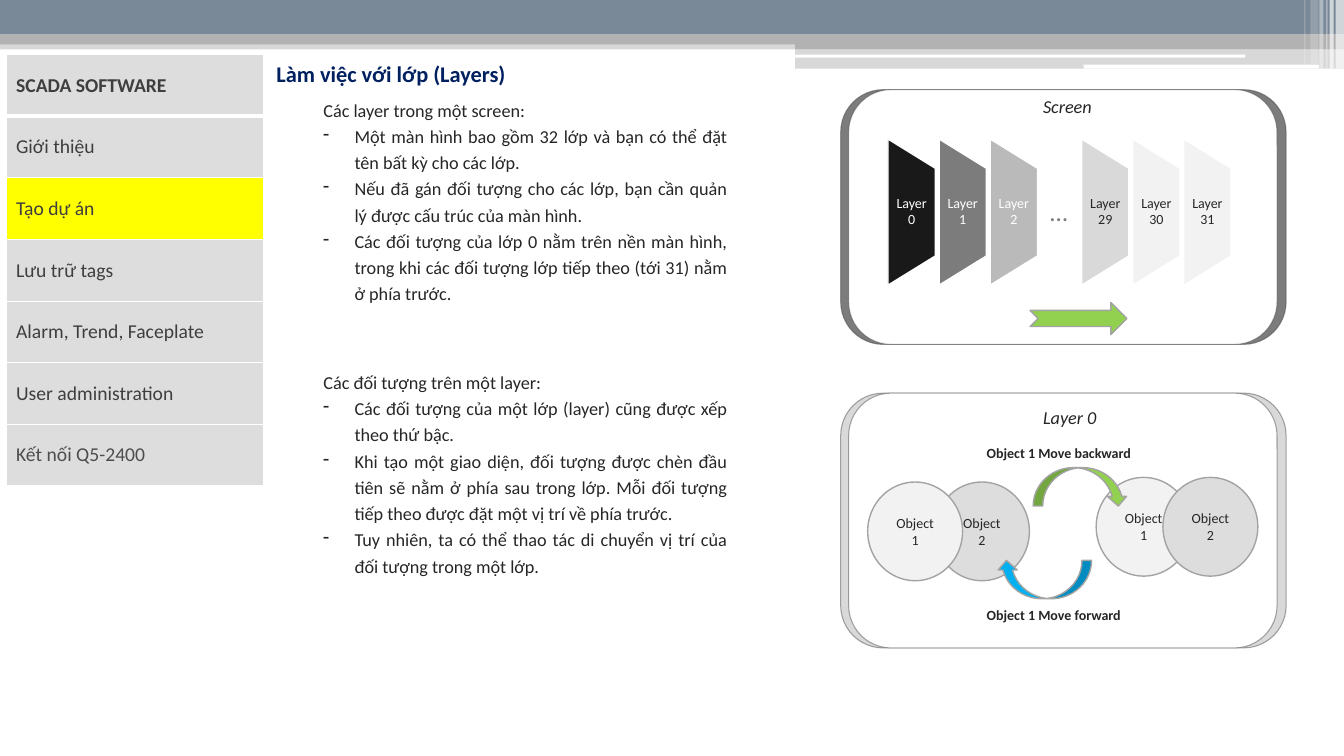
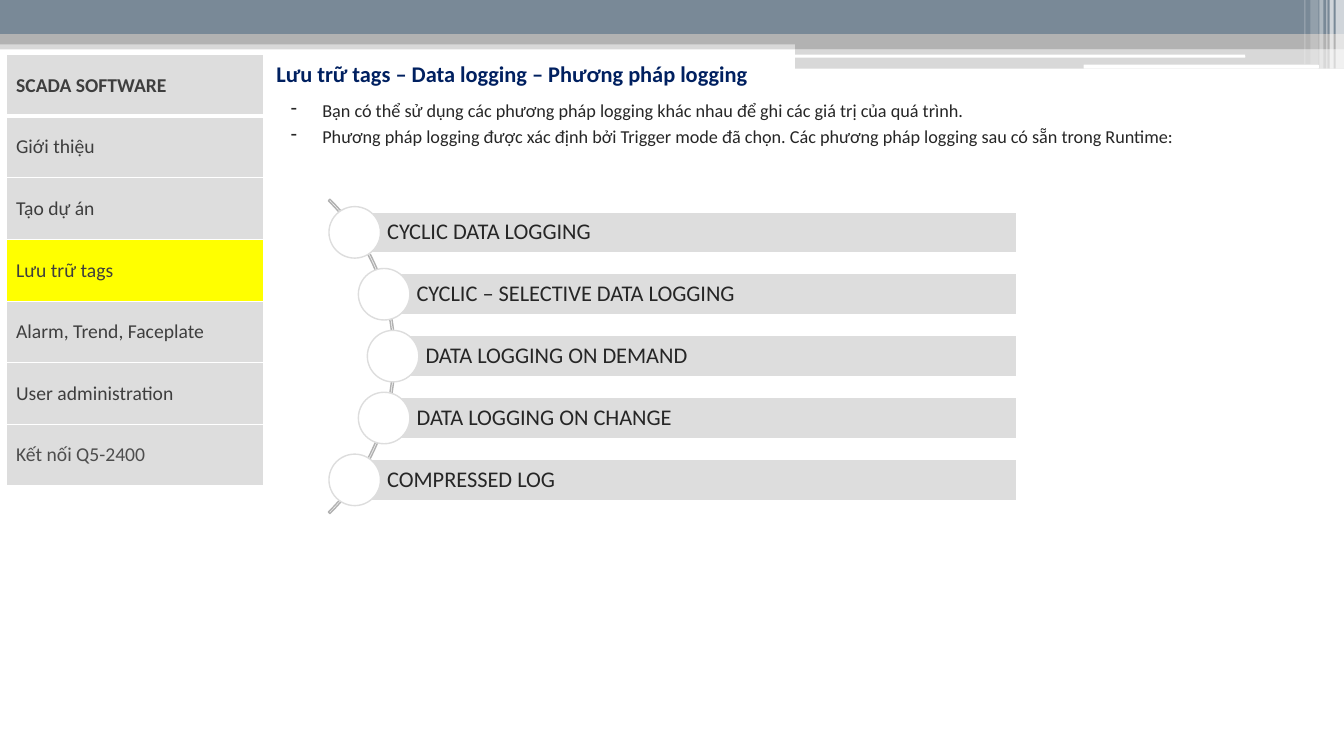
from dataclasses import dataclass
from typing import NamedTuple, Optional

from lxml import etree
from pptx import Presentation
from pptx import util as u
from pptx.dml import color
from pptx.enum import shapes, text
from pptx.oxml import ns

KIND = shapes.MSO_SHAPE
ALIGN = text.PP_ALIGN
MID = text.MSO_ANCHOR.MIDDLE
FONT = "Calibri"
WHITE, INK, NAVY = "FFFFFF", "262626", "002060"
SLATE, SILVER, EDGE = "798997", "B2B2B2", "A3A3A3"
PALE, MIST, GRAY, LIGHT, DARK = "DDDDDD", "F2F2F2", "7C7C7C", "D9D9D9", "4D4D4D"
LIME, SKY, MARK = "92D050", "00B0F0", "FFFF00"

MENU = [
    "SCADA SOFTWARE",
    "Giới thiệu",
    "Tạo dự án",
    "Lưu trữ tags",
    "Alarm, Trend, Faceplate",
    "User administration",
    "Kết nối Q5-2400",
]


class Box(NamedTuple):
    x: float
    y: float
    w: float
    h: float


@dataclass
class Band:
    box: Box
    hue: str
    alpha: int = 100
    kind: int = KIND.RECTANGLE


@dataclass
class Layer:
    name: str
    x: float
    hue: str
    ink: str


@dataclass
class Disc:
    name: str
    x: float
    y: float
    hue: str


@dataclass
class Step:
    name: str
    x: float


BANDS = [
    Band(Box(0, 28.8, 960, 6.5), SILVER, 50),
    Band(Box(0, 0, 960, 24.5), SLATE),
    Band(Box(0, 24.5, 960, 7.2), SILVER),
    Band(Box(568, 28, 392, 7), SILVER),
    Band(Box(568, 34.8, 392, 14.2), SILVER, 50),
    Band(Box(567.5, 39, 322, 2.2), WHITE, kind=KIND.ROUNDED_RECTANGLE),
    Band(Box(774, 46.2, 168, 2.8), WHITE, kind=KIND.ROUNDED_RECTANGLE),
    Band(Box(954, 0, 6, 49), WHITE, 65),
    Band(Box(949.7, 0, 2.9, 49), WHITE, 65),
    Band(Box(947.5, 0, 0.7, 49), WHITE, 60),
    Band(Box(942.5, 0, 2.9, 49), WHITE, 40),
    Band(Box(936, 0, 5.8, 46), WHITE, 20),
    Band(Box(931.7, 0, 0.7, 46), WHITE, 30),
]
NEAR, FAR, PITCH = 634.3, 772.6, 36.5
LAYERS = [
    Layer("Layer 0", NEAR, "191919", WHITE),
    Layer("Layer 1", NEAR + PITCH, GRAY, WHITE),
    Layer("Layer 2", NEAR + 2 * PITCH, "BABABA", WHITE),
    Layer("Layer 29", FAR, LIGHT, INK),
    Layer("Layer 30", FAR + PITCH, MIST, INK),
    Layer("Layer 31", FAR + 2 * PITCH, MIST, INK),
]
DISCS = [
    Disc("Object 2", 667.5, 344.3, PALE),
    Disc("Object 1", 619.8, 344.3, MIST),
    Disc("Object 1", 783, 341, MIST),
    Disc("Object 2", 830.7, 341, PALE),
]
STEPS = [
    Step("CYCLIC DATA LOGGING", 253.4),
    Step("CYCLIC – SELECTIVE DATA LOGGING", 274.4),
    Step("DATA LOGGING ON DEMAND", 280.8),
    Step("DATA LOGGING ON CHANGE", 274.4),
    Step("COMPRESSED LOG", 253.4),
]


def pts(box: Box) -> list:
    return [u.Pt(v) for v in box]


def paint(fill, hue: str, alpha: int = 100, node=None) -> None:
    fill.solid()
    fill.fore_color.rgb = color.RGBColor.from_string(hue)
    if alpha < 100:
        tone = node.find(ns.qn("a:solidFill"))[0]
        etree.SubElement(tone, ns.qn("a:alpha"), val=str(alpha * 1000))


def form(slide, kind, box: Box, hue: Optional[str] = None, alpha: int = 100,
         edge: Optional[str] = None, width: float = 1, clear: int = 100,
         spin: float = 0):
    item = slide.shapes.add_shape(kind, *pts(box))
    item.shadow.inherit = False
    item.rotation = spin
    prop = item.element.spPr
    if hue:
        paint(item.fill, hue, alpha, prop)
    else:
        item.fill.background()
    if edge:
        item.line.width = u.Pt(width)
        paint(item.line.fill, edge, clear, prop.find(ns.qn("a:ln")))
    else:
        item.line.fill.background()
    return item


def words(frame, *lines: str, size: float = 13, hue: str = INK,
          bold: bool = False, slant: bool = False, align=ALIGN.LEFT,
          left: float = 0, hang: float = 0, space: float = 1,
          mark: str = "") -> None:
    for line in lines:
        para = frame.add_paragraph() if frame.text else frame.paragraphs[0]
        para.alignment = align
        para.line_spacing = space
        prop = para._p.get_or_add_pPr()
        prop.set("marL", str(u.Pt(left)))
        prop.set("indent", str(u.Pt(hang)))
        if mark:
            etree.SubElement(prop, ns.qn("a:buChar"), char=mark)
        run = para.add_run()
        run.text = line
        font = run.font
        font.name, font.size = FONT, u.Pt(size)
        font.bold, font.italic = bold, slant
        paint(font.fill, hue)


def inset(frame, left: float, top: float, right: float, base: float) -> None:
    frame.margin_left, frame.margin_top = u.Pt(left), u.Pt(top)
    frame.margin_right, frame.margin_bottom = u.Pt(right), u.Pt(base)


def field(slide, box: Box, wrap: bool = True):
    frame = slide.shapes.add_textbox(*pts(box)).text_frame
    frame.word_wrap = wrap
    return frame


def label(slide, box: Box, line: str, **look) -> None:
    words(field(slide, box), line, align=ALIGN.JUSTIFY, left=36.7, space=1.2,
          **look)


def notes(slide, top: float, head: str, *lines: str) -> None:
    frame = field(slide, Box(187.2, top, 339, 157))
    look = dict(align=ALIGN.JUSTIFY, space=1.2)
    words(frame, head, left=36.7, **look)
    words(frame, *lines, left=59, hang=-22.5, mark="-", **look)


def rule(cell, base: float) -> None:
    prop = cell._tc.get_or_add_tcPr()
    for side, width in (("L", 1), ("R", 1), ("T", 1), ("B", base)):
        line = etree.SubElement(prop, ns.qn(f"a:ln{side}"), w=str(u.Pt(width)))
        fill = etree.SubElement(line, ns.qn("a:solidFill"))
        etree.SubElement(fill, ns.qn("a:srgbClr"), val=WHITE)


def menu(slide, live: str) -> None:
    box = Box(4.3, 39, 184.3, 308.2)
    table = slide.shapes.add_table(len(MENU), 1, *pts(box)).table
    for i, name in enumerate(MENU):
        table.rows[i].height = u.Pt(box.h / len(MENU))
        cell = table.cell(i, 0)
        cell.vertical_anchor = MID
        rule(cell, 1 if i else 3)
        paint(cell.fill, MARK if name == live else PALE)
        words(cell.text_frame, name, size=14, bold=i == 0,
              hue=DARK if name == MENU[-1] else "3E3E3E")


def start(deck, title: str):
    slide = deck.slides.add_slide(deck.slide_layouts[6])
    for band in BANDS:
        form(slide, band.kind, band.box, band.hue, band.alpha)
    words(field(slide, Box(163.4, 35.3, 407.5, 28.8)), title, size=16,
          hue=NAVY, bold=True, left=54, hang=-27, space=1.2)
    return slide


def panel(slide, top: float, hue: str, name: str, rise: float) -> None:
    for x, w, tone in ((600.5, 318.2, hue), (606.2, 306, WHITE)):
        form(slide, KIND.ROUNDED_RECTANGLE, Box(x, top, w, 182), tone,
             edge=DARK, width=0.75, clear=50)
    label(slide, Box(701.3, top + rise, 105.8, 25), name, slant=True)


def layers(deck) -> None:
    slide = start(deck, "Làm việc với lớp (Layers)")
    notes(slide, 64, "Các layer trong một screen:",
          "Một màn hình bao gồm 32 lớp và bạn có thể đặt tên bất kỳ cho các lớp.",
          "Nếu đã gán đối tượng cho các lớp, bạn cần quản lý được cấu trúc của màn hình.",
          "Các đối tượng của lớp 0 nằm trên nền màn hình, trong khi các đối tượng lớp "
          "tiếp theo (tới 31) nằm ở phía trước.")
    panel(slide, 64, GRAY, "Screen", -2.8)
    long, wide, mid = 104.4, 33.8, 151.5
    for one in LAYERS:
        form(slide, KIND.FLOWCHART_MANUAL_OPERATION,
             Box(one.x + (wide - long) / 2, mid - wide / 2, long, wide),
             one.hue, edge=WHITE, spin=270)
        frame = field(slide, Box(one.x, mid - 31.3, wide, 62.6))
        frame.vertical_anchor = MID
        inset(frame, 5, 0, 5, 0)
        words(frame, one.name, size=10, hue=one.ink, align=ALIGN.CENTER,
              space=0.9)
    words(field(slide, Box(743, 136.8, 27.4, 28.8), False), "…", size=18,
          hue=GRAY)
    form(slide, KIND.NOTCHED_RIGHT_ARROW, Box(735.8, 216, 69.2, 23), LIME,
         edge=EDGE)

    notes(slide, 258.5, "Các đối tượng trên một layer:",
          "Các đối tượng của một lớp (layer) cũng được xếp theo thứ bậc.",
          "Khi tạo một giao diện, đối tượng được chèn đầu tiên sẽ nằm ở phía sau trong "
          "lớp. Mỗi đối tượng tiếp theo được đặt một vị trí về phía trước.",
          "Tuy nhiên, ta có thể thao tác di chuyển vị trí của đối tượng trong một lớp.")
    panel(slide, 280.8, LIGHT, "Layer 0", 2.9)
    for one in DISCS:
        disc = form(slide, KIND.OVAL, Box(one.x, one.y, 67.8, 70.5), one.hue,
                    edge=EDGE)
        disc.text_frame.vertical_anchor = MID
        words(disc.text_frame, one.name, size=10, align=ALIGN.CENTER)
    for x, y, hue, spin in ((712, 400.3, SKY, 180), (738, 334, LIME, 0)):
        form(slide, KIND.CURVED_DOWN_ARROW, Box(x, y, 67.7, 27.4), hue,
             edge=EDGE, spin=spin)
    for y, way in ((311.8, "backward"), (427, "forward")):
        label(slide, Box(661, y, 170, 21), f"Object 1 Move {way}", size=10,
              bold=True)
    menu(slide, "Tạo dự án")


def methods(deck) -> None:
    slide = start(deck, "Lưu trữ tags – Data logging – Phương pháp logging")
    words(field(slide, Box(187.2, 64, 750, 44)),
          "Bạn có thể sử dụng các phương pháp logging khác nhau để ghi các giá trị "
          "của quá trình.",
          "Phương pháp logging được xác định bởi Trigger mode đã chọn. Các phương "
          "pháp logging sau có sẵn trong Runtime:",
          align=ALIGN.JUSTIFY, left=36, hang=-22.5, space=1.2, mark="-")
    arc = form(slide, KIND.BLOCK_ARC, Box(-35.3, 95.8, 317.5, 317.5),
               edge="B1B1B1")
    for i, value in enumerate((189, 27, 0.005)):
        arc.adjustments[i] = value
    end, tall, dot = 726.5, 29.4, 36.8
    for i, one in enumerate(STEPS):
        mid = 166 + 44.2 * i
        bar = form(slide, KIND.RECTANGLE,
                   Box(one.x, mid - tall / 2, end - one.x, tall), PALE,
                   edge=WHITE)
        bar.text_frame.vertical_anchor = MID
        inset(bar.text_frame, 23.2, 3, 3, 3)
        words(bar.text_frame, one.name, size=16, space=0.9)
        form(slide, KIND.OVAL, Box(one.x - dot / 2, mid - dot / 2, dot, dot),
             WHITE, edge=PALE)
    menu(slide, "Lưu trữ tags")


def main() -> None:
    deck = Presentation()
    deck.slide_width, deck.slide_height = u.Pt(960), u.Pt(540)
    layers(deck)
    methods(deck)
    deck.save("out.pptx")


if __name__ == "__main__":
    main()
